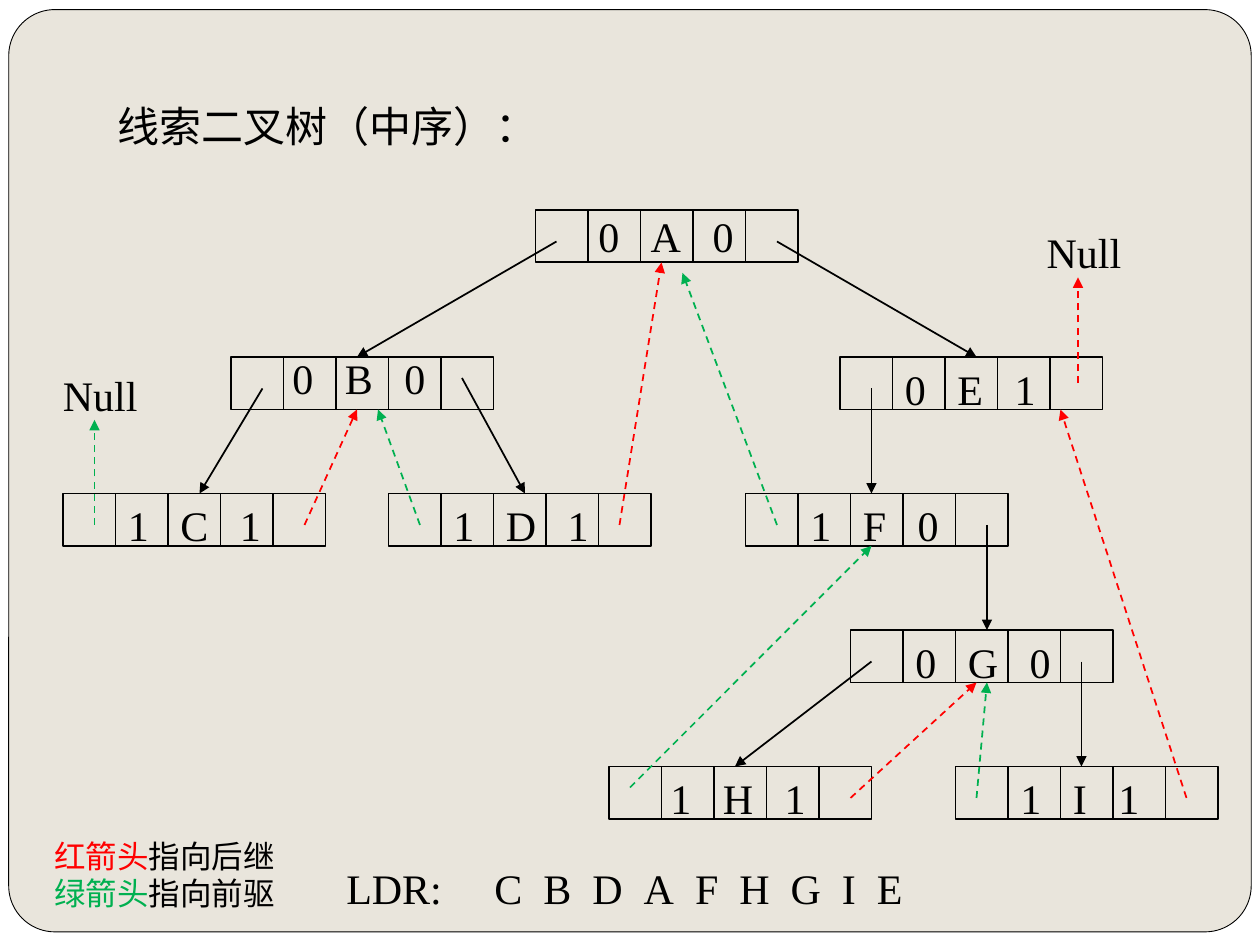
import pptx
import pptx.dml.color
import pptx.enum.dml
import pptx.enum.shapes
import pptx.enum.text
import pptx.oxml
import pptx.oxml.ns
import pptx.util

Pt = pptx.util.Pt
SHAPE = pptx.enum.shapes.MSO_SHAPE
FONT = "Times New Roman"
COLORS = {"page": "FFFFFF", "panel": "E9E5DC", "black": "000000",
          "red": "FF0000", "green": "00B050"}
CELL = 30
CELL_COUNT = 5
MARGIN_X, MARGIN_Y = 7.2, 3.6
LABEL_HEIGHT = 36

# Advance of each character at 24 pt, used to place tab stops
ADVANCE = {"0": 12, "1": 12, "A": 17.3, "B": 16, "C": 16, "D": 17.3, "E": 14.7,
           "F": 13.3, "G": 17.3, "H": 17.3, "I": 8, "LDR:": 54.7}

# left tag, letter, right tag, node corner, label offset from that corner
NODES = [
    ("0", "A", "0", (306, 120), (28.8, -3)),
    ("0", "B", "0", (132, 204), (28, -6)),
    ("1", "C", "1", (36, 282), (30, 0)),
    ("1", "D", "1", (222, 282), (30, 0)),
    ("0", "E", "1", (480, 204), (30, 0)),
    ("1", "F", "0", (426, 282), (30, 0)),
    ("0", "G", "0", (486, 360), (30, 0)),
    ("1", "H", "1", (348, 438), (28, 0)),
    ("1", "I", "1", (546, 438), (30, 0)),
]
CHILD_LINKS = [
    ((318, 138), (204, 204)), ((444, 138), (558, 204)),
    ((150, 222), (114, 282)), ((264, 216), (300, 282)),
    ((498, 222), (498, 282)), ((564, 300), (564, 360)),
    ((498, 378), (420, 438)), ((618, 378), (618, 438)),
]
THREADS = [
    ("red", (174, 300), (204, 234)), ("green", (240, 300), (216, 234)),
    ("red", (354, 300), (378, 150)), ("green", (444, 300), (390, 156)),
    ("green", (360, 450), (498, 312)), ("red", (486, 456), (558, 390)),
    ("green", (558, 456), (564, 390)), ("red", (678, 456), (606, 234)),
    ("green", (54, 300), (54, 240)), ("red", (616, 219), (616, 158.5)),
]
# corner, width, height, size, lines of (text, colour) runs
TEXTS = [
    ((60, 54), 257, 36, 24, [[("线索二叉树（中序）：", "black")]]),
    ((28.8, 207.5), 57, 36, 24, [[("Null", "black")]]),
    ((591, 126), 57, 36, 24, [[("Null", "black")]]),
    ((24, 474.5), 142, 51, 18, [[("红箭头", "red"), ("指向后继", "black")],
                               [("绿箭头", "green"), ("指向前驱", "black")]]),
]
TRAVERSAL_TITLE = "LDR:"
TRAVERSAL = ["C", "B", "D", "A", "F", "H", "G", "I", "E"]
TRAVERSAL_AT = (190.8, 489.6)


def rgb(name):
    return pptx.dml.color.RGBColor.from_string(COLORS[name])


def add_box(shapes, kind, corner, size, line_width, fill=None):
    box = shapes.add_shape(kind, *map(Pt, corner + size))
    box.shadow.inherit = False
    if fill:
        box.fill.solid()
        box.fill.fore_color.rgb = rgb(fill)
    else:
        box.fill.background()
    box.line.color.rgb = rgb("black")
    box.line.width = Pt(line_width)
    return box


def add_line(shapes, start, end, color="black", arrow=False, dashed=False):
    line = shapes.add_connector(pptx.enum.shapes.MSO_CONNECTOR.STRAIGHT,
                                *map(Pt, start + end))
    line.line.color.rgb = rgb(color)
    line.line.width = Pt(1)
    if dashed:
        line.line.dash_style = pptx.enum.dml.MSO_LINE.DASH
    properties = line._element.spPr
    if arrow:
        outline = properties.find(pptx.oxml.ns.qn("a:ln"))
        outline.append(pptx.oxml.parse_xml(
            f'<a:tailEnd {pptx.oxml.ns.nsdecls("a")} type="triangle"/>'))
    properties.append(pptx.oxml.parse_xml(
        f'<a:effectLst {pptx.oxml.ns.nsdecls("a")}/>'))


def add_text(shapes, corner, width, height, size, lines, wrap=False, tabs=()):
    frame = shapes.add_textbox(*map(Pt, corner + (width, height))).text_frame
    frame_format = {
        "word_wrap": wrap, "margin_left": Pt(MARGIN_X), "margin_right": Pt(MARGIN_X),
        "margin_top": Pt(MARGIN_Y), "margin_bottom": Pt(MARGIN_Y),
        "vertical_anchor": pptx.enum.text.MSO_ANCHOR.TOP,
    }
    for attribute, value in frame_format.items():
        setattr(frame, attribute, value)
    for index, runs in enumerate(lines):
        paragraph = frame.add_paragraph() if index else frame.paragraphs[0]
        if tabs:
            stops = "".join(f'<a:tab pos="{Pt(tab)}" algn="l"/>' for tab in tabs)
            paragraph._p.get_or_add_pPr().append(pptx.oxml.parse_xml(
                f'<a:tabLst {pptx.oxml.ns.nsdecls("a")}>{stops}</a:tabLst>'))
        for text, color in runs:
            run = paragraph.add_run()
            run.text = text
            for attribute, value in {"name": FONT, "size": Pt(size)}.items():
                setattr(run.font, attribute, value)
            run.font.color.rgb = rgb(color)


def add_spaced_row(shapes, corner, items, gaps):
    """Write items on one line, each gap measured after the item before it."""
    tabs, position = [], 0
    for item, gap in zip(items, gaps):
        position += ADVANCE[item] + gap
        tabs.append(round(position, 2))
    width = tabs[-1] + ADVANCE[items[-1]] + 2 * MARGIN_X + 1
    add_text(shapes, corner, width, LABEL_HEIGHT, 24,
             [[("\t".join(items), "black")]], wrap=True, tabs=tabs)


def add_node(shapes, tags, corner, offset):
    left, top = corner
    group = shapes.add_group_shape().shapes
    add_box(group, SHAPE.RECTANGLE, corner, (CELL * CELL_COUNT, CELL), 1)
    for column in range(1, CELL_COUNT):
        x = left + column * CELL
        add_line(group, (x, top), (x, top + CELL))
    add_spaced_row(group, (left + offset[0], top + offset[1]), tags, [18, 18])


def main():
    deck = pptx.Presentation()
    deck.slide_width, deck.slide_height = Pt(720), Pt(540)
    slide = deck.slides.add_slide(deck.slide_layouts[6])
    slide.background.fill.solid()
    slide.background.fill.fore_color.rgb = rgb("page")
    shapes = slide.shapes

    panel = add_box(shapes, SHAPE.ROUNDED_RECTANGLE, (5, 5.5), (710, 527), 0.5, "panel")
    panel.adjustments[0] = 0.05
    for *tags, corner, offset in NODES:
        add_node(shapes, tags, corner, offset)
    links = shapes.add_group_shape().shapes
    for start, end in CHILD_LINKS:
        add_line(links, start, end, arrow=True)
    for color, start, end in THREADS:
        add_line(shapes, start, end, color, arrow=True, dashed=True)
    for text in TEXTS:
        add_text(shapes, *text)
    add_spaced_row(shapes, TRAVERSAL_AT, [TRAVERSAL_TITLE] + TRAVERSAL,
                   [30] + [12] * (len(TRAVERSAL) - 1))
    deck.save("out.pptx")


if __name__ == "__main__":
    main()
